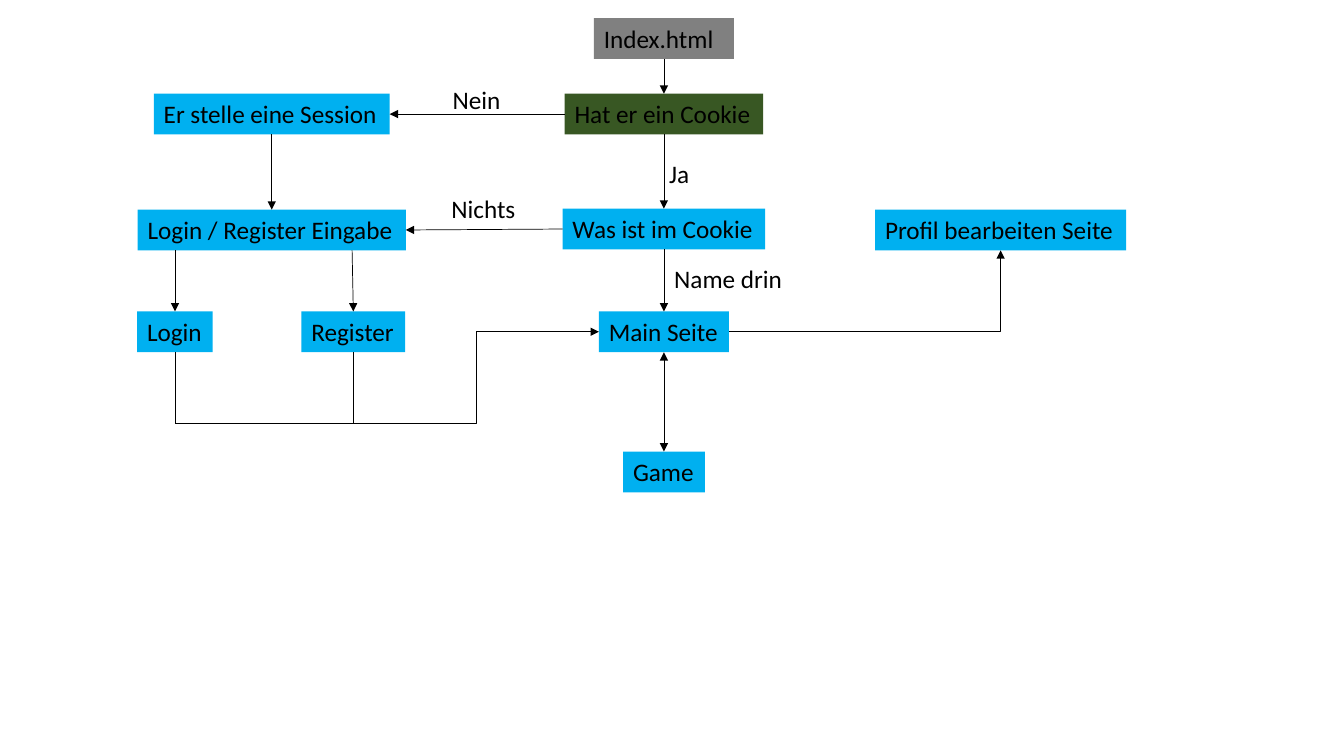
from dataclasses import dataclass
from typing import Optional, Union

from lxml import etree
from pptx import Presentation
from pptx import util as u
from pptx.dml.color import RGBColor
from pptx.enum import shapes, text
from pptx.oxml import ns

BLUE = RGBColor(0x00, 0xB0, 0xF0)
GREY = RGBColor(0x80, 0x80, 0x80)
GREEN = RGBColor(0x38, 0x57, 0x23)
BLACK = RGBColor(0x00, 0x00, 0x00)

WIDTH, HEIGHT = u.Inches(13.33), u.Inches(7.5)
COLUMNS = ROWS = 100
BOX_ROWS = 5.39

LOGIN, SESSION, REGISTER, MAIN, PROFILE = 13.02, 20.22, 26.2, 49.4, 74.45
START_ROW, COOKIE_ROW, CONTENT_ROW, PAGE_ROW, GAME_ROW = 2.4, 12.4, 27.6, 41.2, 59.73
ENTRY_ROW, JOIN_ROW = 27.73, 56
TOP, LEFT, BOTTOM, RIGHT = range(4)


@dataclass(frozen=True)
class Box:
    wording: str
    center: float
    row: float
    width: float
    fill: Optional[RGBColor] = BLUE
    wrap: bool = False

    def site(self, side: int) -> tuple[float, float]:
        middle = self.row + BOX_ROWS / 2
        half = self.width / 2
        return {
            TOP: (self.center, self.row),
            LEFT: (self.center - half, middle),
            BOTTOM: (self.center, self.row + BOX_ROWS),
            RIGHT: (self.center + half, middle),
        }[side]


End = Union[tuple[str, int], tuple[float, float]]


@dataclass(frozen=True)
class Link:
    start: End
    end: End
    arrows: tuple[str, ...] = ("tailEnd",)
    preset: str = "line"


BOXES = {
    "index": Box("Index.html", MAIN, START_ROW, 10.43, GREY, True),
    "cookie": Box("Hat er ein Cookie", MAIN, COOKIE_ROW, 14.78, GREEN),
    "session": Box("Er stelle eine Session", SESSION, COOKIE_ROW, 17.55),
    "content": Box("Was ist im Cookie", MAIN, CONTENT_ROW, 15.08),
    "entry": Box("Login / Register Eingabe", SESSION, ENTRY_ROW, 19.95),
    "login": Box("Login", LOGIN, PAGE_ROW, 5.63),
    "register": Box("Register", 26.29, PAGE_ROW, 7.73),
    "main": Box("Main Seite", MAIN, PAGE_ROW, 9.68),
    "profile": Box("Profil bearbeiten Seite", PROFILE, ENTRY_ROW, 18.68),
    "game": Box("Game", MAIN, GAME_ROW, 6.08),
}

LABELS = [
    Box("Ja", 50.55, 20.27, 3, None),
    Box("Nein", 35.48, 10.53, 5.1, None),
    Box("Nichts", 36, 24.93, 6.3, None),
    Box("Name drin", 54.23, 34.13, 9.6, None),
]

ENTRY_BOTTOM = ENTRY_ROW + BOX_ROWS
REGISTER_JOIN = (BOXES["register"].center, JOIN_ROW)
LINKS = [
    Link(("index", BOTTOM), ("cookie", TOP)),
    Link(("cookie", BOTTOM), ("content", TOP)),
    Link(("cookie", LEFT), ("session", RIGHT)),
    Link(("session", BOTTOM), ("entry", TOP)),
    Link((LOGIN, ENTRY_BOTTOM), ("login", TOP)),
    Link((REGISTER, ENTRY_BOTTOM), ("register", TOP)),
    Link(REGISTER_JOIN, ("main", LEFT), preset="bentConnector3"),
    Link(("register", BOTTOM), REGISTER_JOIN, ()),
    Link(("login", BOTTOM), (LOGIN, JOIN_ROW), ()),
    Link(REGISTER_JOIN, (LOGIN, JOIN_ROW), ()),
    Link(("content", LEFT), ("entry", RIGHT)),
    Link(("main", RIGHT), ("profile", BOTTOM), preset="bentConnector2"),
    Link(("content", BOTTOM), ("main", TOP)),
    Link(("main", BOTTOM), ("game", TOP), ("headEnd", "tailEnd")),
]


def across(columns: float) -> int:
    return round(WIDTH * columns / COLUMNS)


def down(rows: float) -> int:
    return round(HEIGHT * rows / ROWS)


def draw_box(page, box: Box):
    frame = (across(box.center - box.width / 2), down(box.row),
             across(box.width), down(BOX_ROWS))
    if box.fill is None:
        shape = page.shapes.add_textbox(*frame)
    else:
        shape = page.shapes.add_shape(shapes.MSO_SHAPE.RECTANGLE, *frame)
        shape.shadow.inherit = False
        shape.fill.solid()
        shape.fill.fore_color.rgb = box.fill
        shape.line.fill.background()
    body = {
        "word_wrap": box.wrap,
        "auto_size": text.MSO_AUTO_SIZE.SHAPE_TO_FIT_TEXT,
        "vertical_anchor": text.MSO_ANCHOR.TOP,
    }
    for name, value in body.items():
        setattr(shape.text_frame, name, value)
    para = shape.text_frame.paragraphs[0]
    para.alignment = text.PP_ALIGN.LEFT
    span = para.add_run()
    span.text = box.wording
    for name, value in {"name": "Calibri", "size": u.Pt(18)}.items():
        setattr(span.font, name, value)
    span.font.color.rgb = BLACK
    return shape


def point(end: End) -> tuple[int, int]:
    column, row = BOXES[end[0]].site(end[1]) if end[0] in BOXES else end
    return across(column), down(row)


def draw_link(page, link: Link, drawn: dict) -> None:
    line = page.shapes.add_connector(
        shapes.MSO_CONNECTOR.STRAIGHT, *point(link.start), *point(link.end))
    for end, connect in ((link.start, line.begin_connect), (link.end, line.end_connect)):
        if end[0] in drawn and end != (LOGIN, ENTRY_BOTTOM):
            connect(drawn[end[0]], end[1])
    line.line.width = u.Pt(0.5)
    line.line.color.rgb = BLACK
    properties = line.element.spPr
    properties.find(ns.qn("a:prstGeom")).set("prst", link.preset)
    outline = properties.find(ns.qn("a:ln"))
    for arrow in link.arrows:
        etree.SubElement(outline, ns.qn(f"a:{arrow}"), type="triangle")
    etree.SubElement(properties, ns.qn("a:effectLst"))


deck = Presentation()
deck.slide_width, deck.slide_height = WIDTH, HEIGHT
page = deck.slides.add_slide(deck.slide_layouts[6])
drawn = {name: draw_box(page, box) for name, box in BOXES.items()}
for link in LINKS:
    draw_link(page, link, drawn)
for label in LABELS:
    draw_box(page, label)
deck.save("out.pptx")
